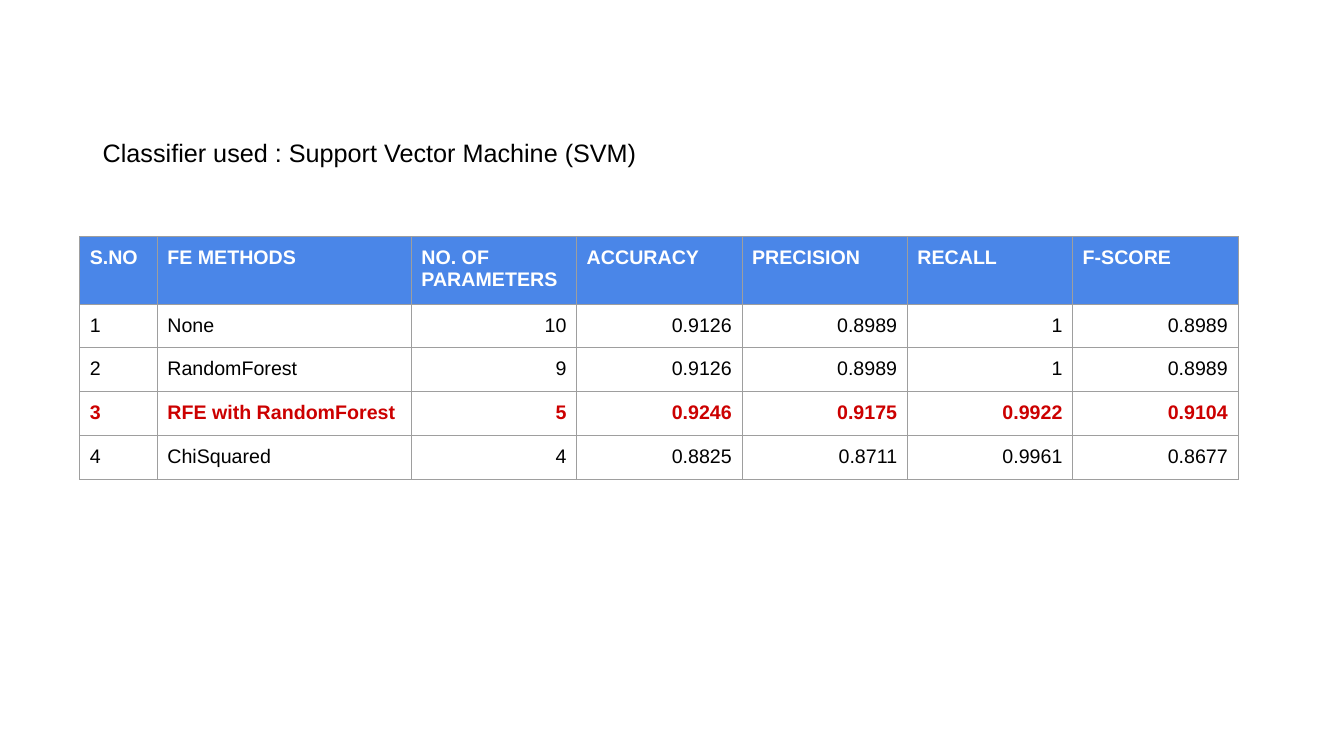
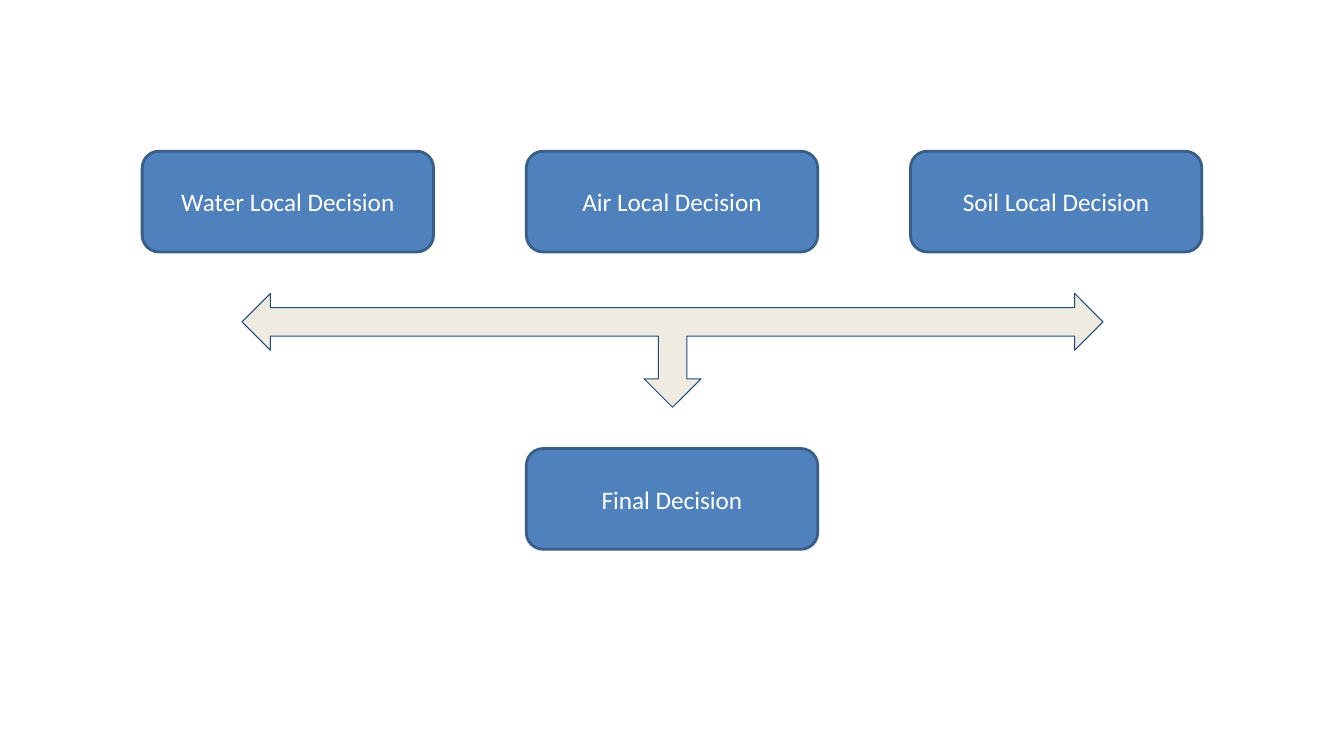
"""Build two slides: a table of classifier scores and a decision flow."""
from dataclasses import dataclass

from lxml import etree
from pptx import Presentation
from pptx.dml.color import RGBColor
from pptx.enum.shapes import MSO_SHAPE
from pptx.enum.text import MSO_ANCHOR, PP_ALIGN
from pptx.oxml.ns import qn
from pptx.shapes.autoshape import Shape
from pptx.slide import Slide
from pptx.table import _Cell
from pptx.text.text import TextFrame
from pptx.util import Inches, Pt

ROUND = MSO_SHAPE.ROUNDED_RECTANGLE
ARROW = MSO_SHAPE.LEFT_RIGHT_UP_ARROW
LEFT, CENTER, RIGHT = PP_ALIGN.LEFT, PP_ALIGN.CENTER, PP_ALIGN.RIGHT
TOP, MIDDLE = MSO_ANCHOR.TOP, MSO_ANCHOR.MIDDLE

BLACK, WHITE, RED = "000000", "FFFFFF", "CC0000"
HEADER, GRID = "4A86E8", "9E9E9E"
BLUE, NAVY = "4F81BD", "395E89"
CREAM, INK = "EEECE1", "1F497D"

WIDTHS = [0.77, 2.52] + [1.64] * 5
HEADS = ["S.NO", "FE METHODS", "NO. OF PARAMETERS", "ACCURACY",
         "PRECISION", "RECALL", "F-SCORE"]
SCORES = [
    ["1", "None", "10", "0.9126", "0.8989", "1", "0.8989"],
    ["2", "RandomForest", "9", "0.9126", "0.8989", "1", "0.8989"],
    ["3", "RFE with RandomForest", "5", "0.9246", "0.9175", "0.9922", "0.9104"],
    ["4", "ChiSquared", "4", "0.8825", "0.8711", "0.9961", "0.8677"],
]
BEST = 3
ROW, HEAD = 0.42, 0.64
BOX_W, BOX_H, STEP = 2.89, 1, 3.81
BOX_X, BOX_Y, FINAL_Y = 1.41, 1.5, 4.45


@dataclass
class Box:
    """Hold the label and the corner of a decision box."""

    label: str
    left: float
    top: float


def color(code: str) -> RGBColor:
    """Turn a hex string into a colour."""
    return RGBColor.from_string(code)


def write(frame: TextFrame, text: str, *, font: str = "Arial", size: float = 18,
          ink: str = BLACK, bold: bool = False, align: PP_ALIGN = LEFT) -> None:
    """Write one formatted paragraph into a text frame."""
    frame.word_wrap = True
    para = frame.paragraphs[0]
    para.alignment = align
    run = para.add_run()
    run.text = text
    run.font.name = font
    run.font.size = Pt(size)
    run.font.bold = bold
    run.font.color.rgb = color(ink)


def pad(target: TextFrame | _Cell, side: float, edge: float) -> None:
    """Set the insets of a text frame or a cell."""
    target.margin_left = target.margin_right = Inches(side)
    target.margin_top = target.margin_bottom = Inches(edge)


def border(cell: _Cell) -> None:
    """Draw a thin grey line on each side of a cell."""
    props = cell._tc.get_or_add_tcPr()
    for side in ("lnL", "lnR", "lnT", "lnB"):
        line = etree.SubElement(props, qn(f"a:{side}"), w=str(Pt(0.75)))
        fill = etree.SubElement(line, qn("a:solidFill"))
        etree.SubElement(fill, qn("a:srgbClr"), val=GRID)


def shape(slide: Slide, kind: MSO_SHAPE, left: float, top: float, width: float,
          height: float, fill: str, edge: str, weight: float) -> Shape:
    """Add a filled and outlined shape without a shadow."""
    item = slide.shapes.add_shape(
        kind, Inches(left), Inches(top), Inches(width), Inches(height))
    item.shadow.inherit = False
    item.fill.solid()
    item.fill.fore_color.rgb = color(fill)
    item.line.color.rgb = color(edge)
    item.line.width = Pt(weight)
    return item


def add_box(slide: Slide, box: Box) -> None:
    """Draw a decision box with its label."""
    item = shape(slide, ROUND, box.left, box.top, BOX_W, BOX_H, BLUE, NAVY, 2)
    frame = item.text_frame
    frame.vertical_anchor = MIDDLE
    pad(frame, 0.1, 0.05)
    write(frame, box.label, font="Calibri", ink=WHITE, align=CENTER)


def add_scores(slide: Slide) -> None:
    """Draw the score table with its best row in red."""
    rows = [HEADS] + SCORES
    table = slide.shapes.add_table(
        len(rows), len(WIDTHS), Inches(0.79), Inches(2.35),
        Inches(sum(WIDTHS)), Inches(HEAD + ROW * len(SCORES))).table
    table.horz_banding = False
    table.first_row = False
    for column, width in zip(table.columns, WIDTHS):
        column.width = Inches(width)
    for i, values in enumerate(rows):
        table.rows[i].height = Inches(ROW if i else HEAD)
        ink = {0: WHITE, BEST: RED}.get(i, BLACK)
        for j, value in enumerate(values):
            cell = table.cell(i, j)
            border(cell)
            cell.fill.solid()
            cell.fill.fore_color.rgb = color(WHITE if i else HEADER)
            cell.vertical_anchor = TOP
            pad(cell, 0.1, 0.1)
            write(cell.text_frame, value, size=14, ink=ink, bold=i in (0, BEST),
                  align=RIGHT if i and j > 1 else LEFT)


def score_slide(slide: Slide) -> None:
    """Build the slide with the classifier scores."""
    note = slide.shapes.add_textbox(
        Inches(0.92), Inches(1.26), Inches(5.98), Inches(0.38))
    pad(note.text_frame, 0.1, 0.1)
    write(note.text_frame, "Classifier used : Support Vector Machine (SVM)")
    add_scores(slide)


def flow_slide(slide: Slide) -> None:
    """Build the slide that joins local decisions into a final one."""
    boxes = [Box(f"{name} Local Decision", BOX_X + i * STEP, BOX_Y)
             for i, name in enumerate(("Water", "Air", "Soil"))]
    boxes.append(Box("Final Decision", BOX_X + STEP, FINAL_Y))
    for box in boxes:
        add_box(slide, box)
    arrow = shape(slide, ARROW, 2.4, 2.91, 8.54, 1.13, CREAM, INK, 0.75)
    arrow.rotation = 180


def main() -> None:
    """Build and save the deck."""
    deck = Presentation()
    deck.slide_width, deck.slide_height = Inches(13.33), Inches(7.5)
    blank = deck.slide_layouts[6]
    for build in (score_slide, flow_slide):
        build(deck.slides.add_slide(blank))
    deck.save("out.pptx")


if __name__ == "__main__":
    main()
